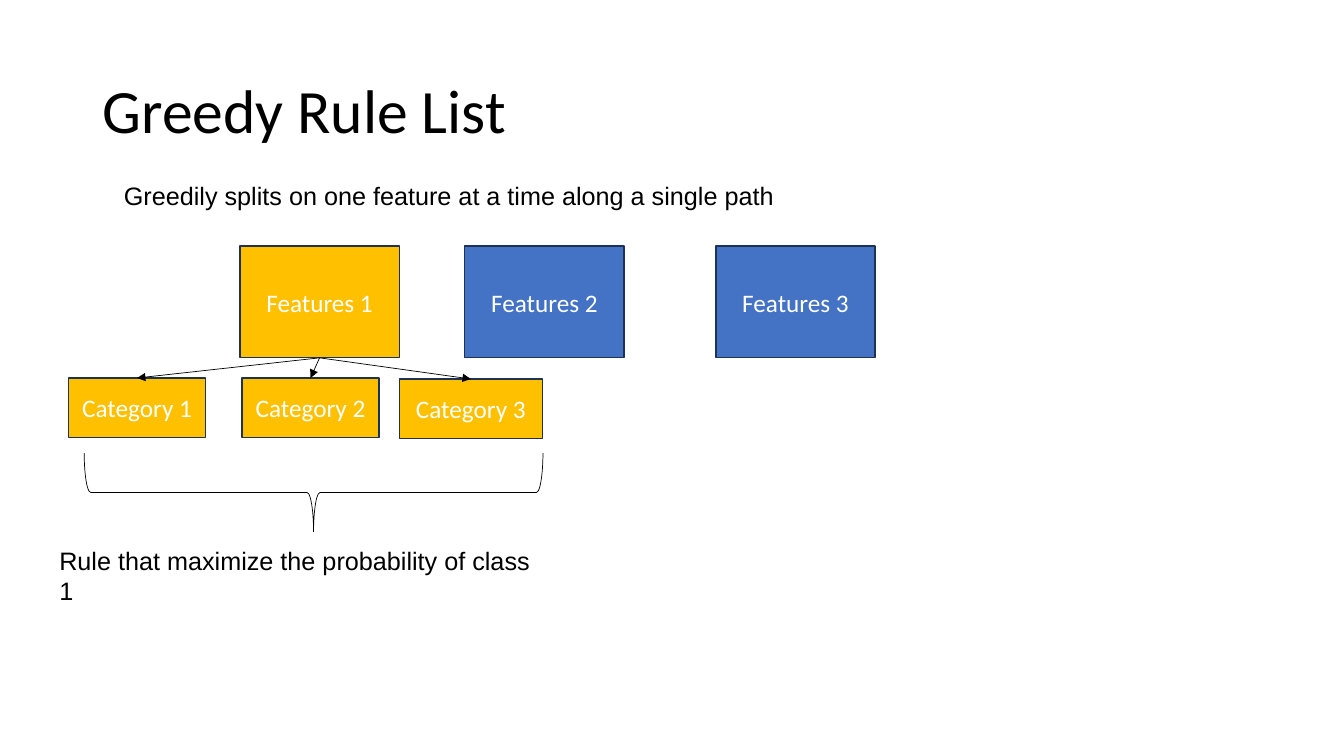
"""Build the Greedy Rule List slide: features, categories and the resulting rule."""
from lxml.etree import SubElement
from pptx import Presentation
from pptx.dml.color import RGBColor
from pptx.enum.shapes import MSO_CONNECTOR, MSO_SHAPE
from pptx.enum.text import MSO_ANCHOR, PP_ALIGN
from pptx.oxml.ns import qn
from pptx.util import Inches, Pt

BLACK = RGBColor(0x00, 0x00, 0x00)
WHITE = RGBColor(0xFF, 0xFF, 0xFF)
GOLD = RGBColor(0xFF, 0xC0, 0x00)
BLUE = RGBColor(0x44, 0x72, 0xC4)
NAVY = RGBColor(0x1E, 0x32, 0x56)

deck = Presentation()
deck.slide_width, deck.slide_height = Inches(13.33), Inches(7.5)
slide = deck.slides.add_slide(deck.slide_layouts[6])
shapes = slide.shapes


def write(shape, text, size, font, color, anchor=MSO_ANCHOR.MIDDLE):
    """Put one run of text in a shape and return its paragraph."""
    frame = shape.text_frame
    frame.word_wrap = True
    frame.vertical_anchor = anchor
    para = frame.paragraphs[0]
    run = para.add_run()
    run.text = text
    run.font.size = Pt(size)
    run.font.name = font
    run.font.color.rgb = color
    return para


def add_box(text, left, top, width, height, fill):
    """Add a filled, labelled rectangle."""
    box = shapes.add_shape(MSO_SHAPE.RECTANGLE, Inches(left), Inches(top),
                           Inches(width), Inches(height))
    box.shadow.inherit = False
    box.fill.solid()
    box.fill.fore_color.rgb = fill
    box.line.color.rgb = NAVY
    box.line.width = Pt(1)
    write(box, text, 18, "Calibri", WHITE).alignment = PP_ALIGN.CENTER
    return box


title = shapes.add_textbox(Inches(0.92), Inches(0.4), Inches(11.5), Inches(1.45))
write(title, "Greedy Rule List", 44, "Calibri", BLACK).line_spacing = 0.9

notes = [
    ("Greedily splits on one feature at a time along a single path", 1.13, 1.74, 6.95),
    ("Rule that maximize the probability of class 1", 0.49, 5.36, 4.9),
]
for text, left, top, width in notes:
    note = shapes.add_textbox(Inches(left), Inches(top), Inches(width), Inches(0.4))
    write(note, text, 18, "Arial", BLACK, MSO_ANCHOR.TOP)

tops = [
    add_box(f"Features {num}", left, 2.44, 1.58, 1.11, fill)
    for num, (left, fill) in enumerate([(2.38, GOLD), (4.61, BLUE), (7.1, BLUE)], 1)
]
kinds = [
    add_box(f"Category {num}", left, top, width, 0.59, GOLD)
    for num, (left, top, width) in enumerate(
        [(0.68, 3.75, 1.36), (2.4, 3.75, 1.36), (3.96, 3.76, 1.42)], 1)
]

brace = shapes.add_shape(MSO_SHAPE.LEFT_BRACE, Inches(2.72), Inches(2.61),
                         Inches(0.78), Inches(4.55))
brace.rotation = 270
brace.shadow.inherit = False
brace.fill.background()
brace.line.color.rgb = BLACK
brace.line.width = Pt(0.5)

for kind in kinds:
    arrow = shapes.add_connector(MSO_CONNECTOR.STRAIGHT, 0, 0, 0, 0)
    arrow.begin_connect(tops[0], 2)
    arrow.end_connect(kind, 0)
    arrow.line.color.rgb = BLACK
    arrow.line.width = Pt(0.5)
    SubElement(arrow.line._get_or_add_ln(), qn("a:tailEnd"), type="triangle")
    SubElement(arrow._element.spPr, qn("a:effectLst"))

deck.save("out.pptx")
